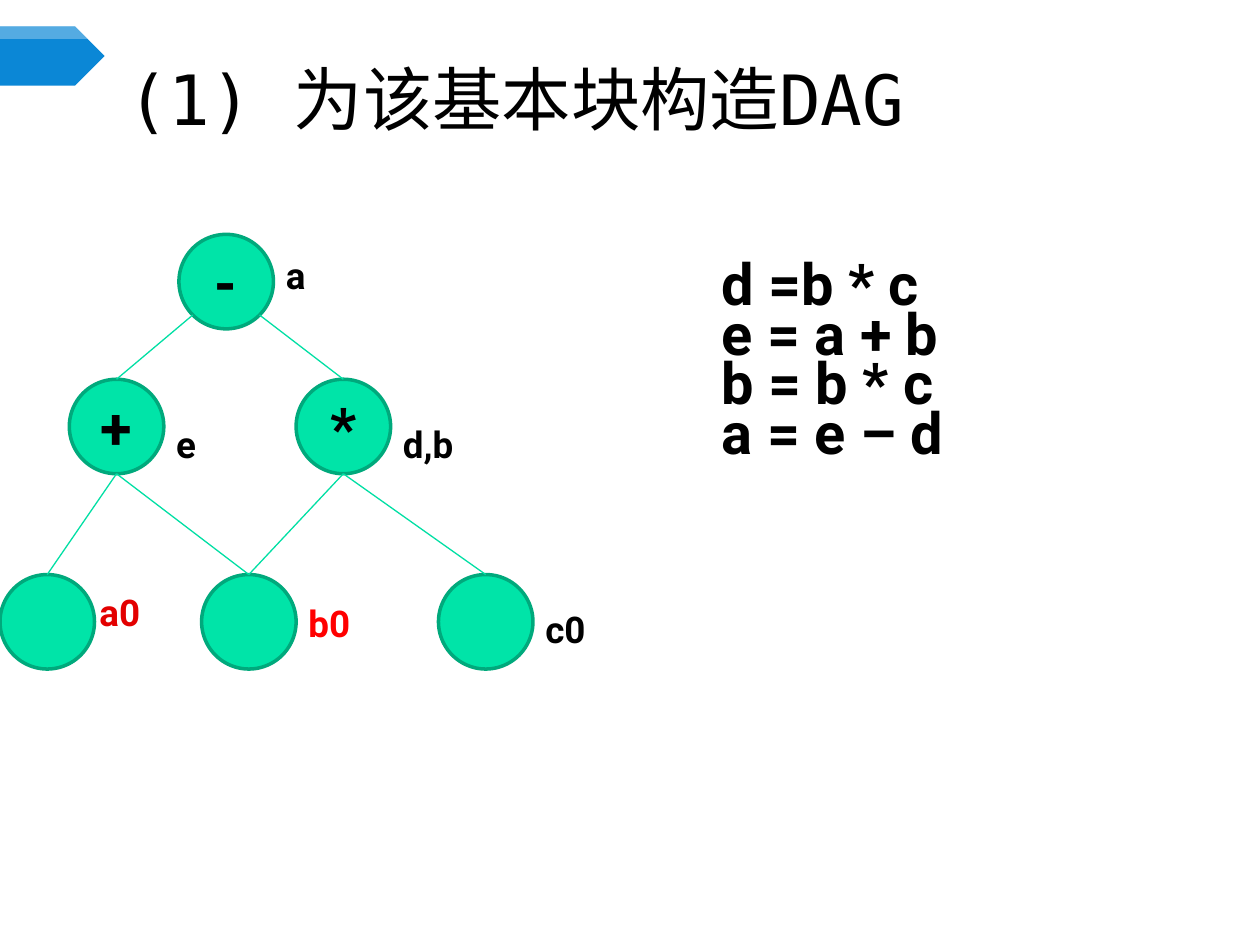
from lxml.etree import SubElement
from pptx import Presentation
from pptx.dml.color import RGBColor
from pptx.enum.shapes import MSO_CONNECTOR, MSO_SHAPE
from pptx.enum.text import MSO_ANCHOR, PP_ALIGN
from pptx.oxml.ns import qn
from pptx.util import Inches, Pt


def color(value):
    return RGBColor.from_string(value)


def write(shape, lines, size, font="Roboto", bold=True, ink="000000", align=PP_ALIGN.LEFT, spacing=None):
    frame = shape.text_frame
    frame.text = "\n".join(lines)
    for para in frame.paragraphs:
        para.alignment = align
        para.line_spacing = spacing
        for span in para.runs:
            span.font.name = font
            span.font.size = Pt(size)
            span.font.bold = bold
            span.font.color.rgb = color(ink)
    return frame


deck = Presentation()
deck.slide_width = Inches(10)
deck.slide_height = Inches(7.5)
page = deck.slides.add_slide(deck.slide_layouts[6])
shapes = page.shapes
column = deck.slide_width / 100
row = deck.slide_height / 75

marker = shapes.add_shape(MSO_SHAPE.PENTAGON, 0, int(2.1 * row), int(8.3 * column), int(4.7 * row))
marker_color = "0B87D6"
builder = shapes.build_freeform(0, int(2.1 * row))
builder.add_line_segments(
    [(int(x * column), int(y * row)) for x, y in [(5.95, 2.1), (6.95, 3.1), (0, 3.1)]], close=True
)
highlight = builder.convert_to_shape()
for shape, fill in [(marker, marker_color), (highlight, "FFFFFF")]:
    shape.shadow.inherit = False
    shape.fill.solid()
    shape.fill.fore_color.rgb = color(fill)
    shape.line.fill.background()
highlight_fill = highlight.fill._xPr.find(qn("a:solidFill"))[0]
SubElement(highlight_fill, qn("a:alpha")).set("val", "30000")

title = shapes.add_textbox(int(9.1 * column), int(4 * row), int(88.8 * column), int(7.5 * row))
title_frame = write(title, ["(1) 为该基本块构造DAG"], 39.6, font="DejaVu Sans Mono", bold=False)
title_frame.word_wrap = True
title_frame.vertical_anchor = MSO_ANCHOR.MIDDLE

diameter = 7.5
levels = [18.6, 30.1, 45.6]
nodes = {
    "minus": (14.2, 0, "-", "a", 1, "000000"),
    "plus": (5.5, 1, "+", "e", 2.9, "000000"),
    "times": (23.5, 1, "*", "d,b", 2.9, "000000"),
    "a0": (0, 2, "", "a0", 0.7, "E30000"),
    "b0": (16, 2, "", "b0", 1.6, "FF0000"),
    "c0": (34.8, 2, "", "c0", 2.1, "000000"),
}
circles = {}
for name, (left, level, operator, label, drop, ink) in nodes.items():
    top = levels[level]
    circle = shapes.add_shape(
        MSO_SHAPE.OVAL, int(left * column), int(top * row), int(diameter * column), int(diameter * row)
    )
    circle.shadow.inherit = False
    circle.fill.solid()
    circle.fill.fore_color.rgb = color("00E4A8")
    circle.line.color.rgb = color("00A97C")
    circle.line.width = Pt(2)
    if operator:
        circle_frame = write(circle, [operator], 33, align=PP_ALIGN.CENTER)
        circle_frame.vertical_anchor = MSO_ANCHOR.MIDDLE
    circles[name] = circle

    label_left = 6.9 if name == "a0" else left + diameter
    tag = shapes.add_textbox(
        int(label_left * column), int((top + drop) * row), int((2 + 1.8 * len(label)) * column), int(4.5 * row)
    )
    write(tag, [label], 21, ink=ink).word_wrap = False

edges = [
    ("minus", "plus", 1.1, 6.4),
    ("minus", "times", 6.4, 6.4),
    ("plus", "a0", 3.75, 7.5),
    ("plus", "b0", 3.75, 7.5),
    ("times", "b0", 3.75, 7.5),
    ("times", "c0", 3.75, 7.5),
]
for parent, child, across, down in edges:
    start_x = circles[parent].left + int(across * column)
    start_y = circles[parent].top + int(down * row)
    edge = shapes.add_connector(MSO_CONNECTOR.STRAIGHT, start_x, start_y, start_x, start_y)
    edge.end_connect(circles[child], 0)
    edge.line.color.rgb = color("00DFA4")
    edge.line.width = Pt(0.75)
    SubElement(edge._element.spPr, qn("a:effectLst"))

code = shapes.add_textbox(int(56.3 * column), int(20.7 * row), int(33 * column), int(19.6 * row))
code_lines = ["d =b * c", "e = a + b", "b = b * c", "a = e – d"]
write(code, code_lines, 33, spacing=Pt(28.5)).word_wrap = True

deck.save("out.pptx")
